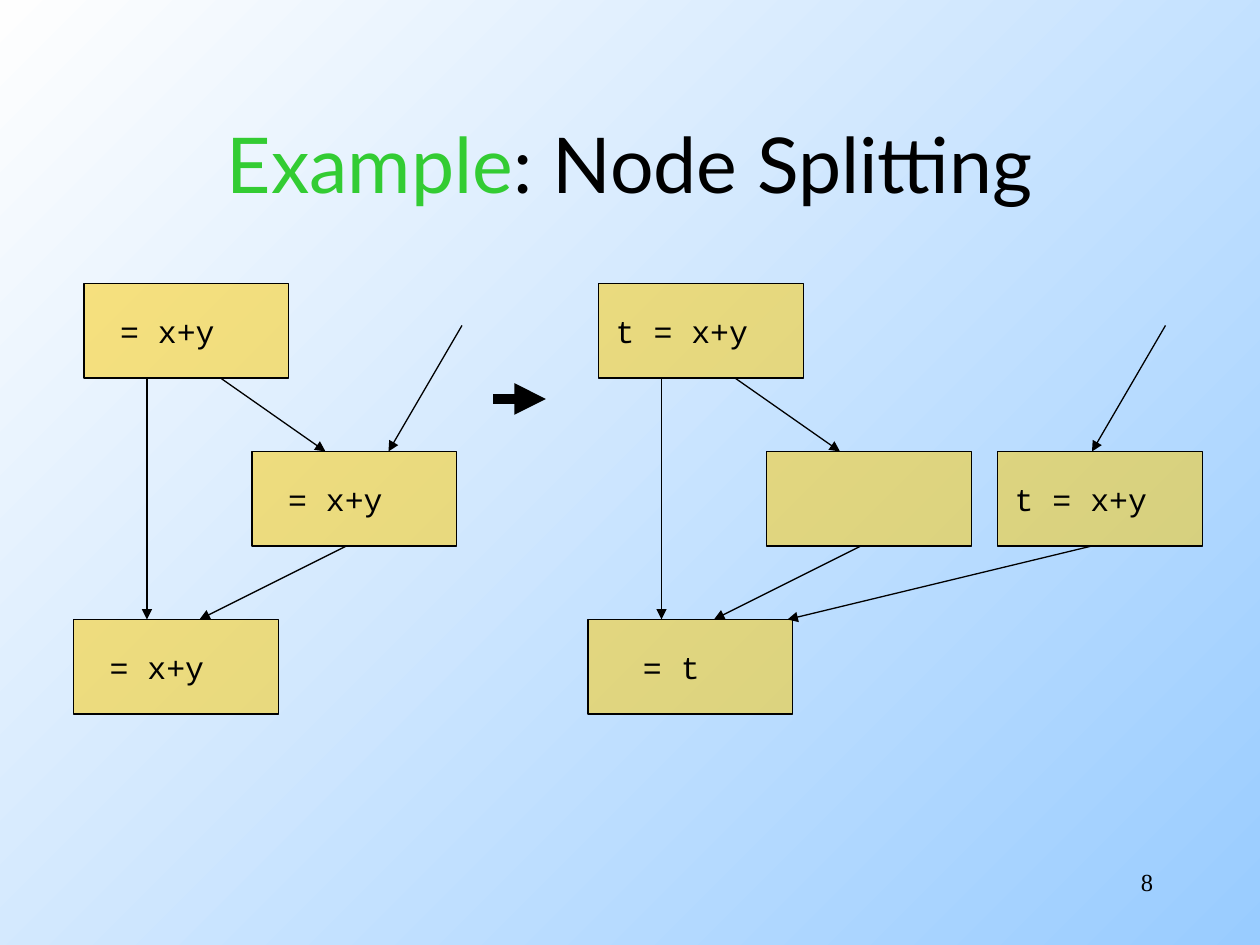
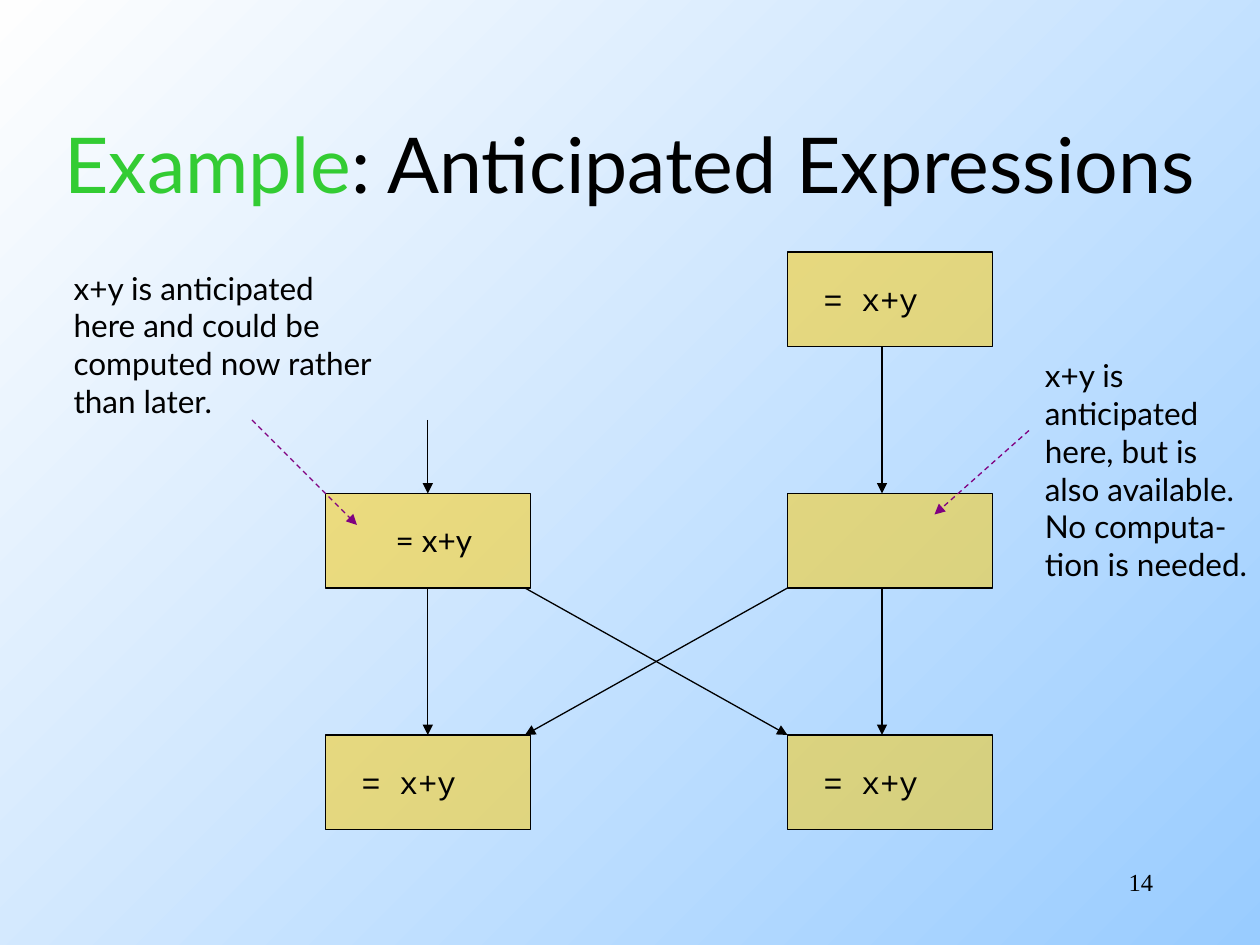
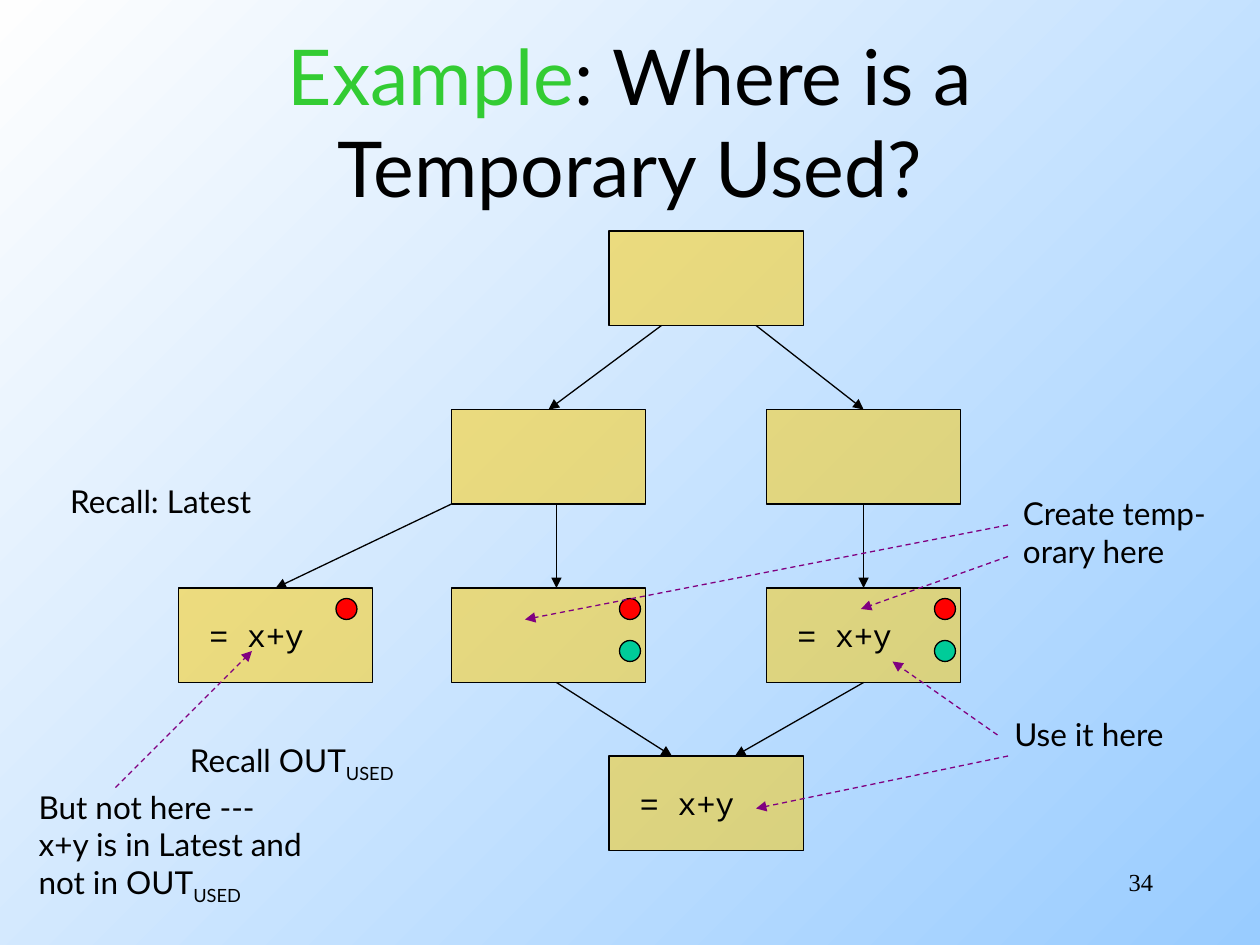
import collections
import dataclasses

import lxml.etree
import pptx
import pptx.dml.color
import pptx.enum.dml
import pptx.enum.shapes
import pptx.enum.text
import pptx.oxml.ns
import pptx.util

Pt = pptx.util.Pt
qn = pptx.oxml.ns.qn
Align = pptx.enum.text.PP_ALIGN
Shape = pptx.enum.shapes.MSO_SHAPE
Joint = collections.namedtuple("Joint", "box side")

TOP, BOTTOM = 0, 2
EXPRESSION = "= x+y"
SUBSCRIPT = ("USED", {"baseline": -25})


@dataclasses.dataclass(frozen=True)
class Theme:
    ink: str = "000000"
    accent: str = "33CC33"
    block: str = "FFCC00"
    block_opacity: int = 50
    pointer: str = "800080"
    latest: str = "FF0000"
    used: str = "00CC99"
    background: tuple = ("99CCFF", "FEFEFE")
    body_font: str = "Lato"
    code_font: str = "Courier New"
    number_font: str = "Times New Roman"
    title_size: float = 44
    body_size: float = 18
    number_size: float = 14
    line_width: float = 0.75


def rgb(value):
    return pptx.dml.color.RGBColor.from_string(value)


def write(frame, paragraphs, *, font, size, color, align=Align.LEFT):
    for index, spans in enumerate(paragraphs):
        para = frame.paragraphs[0] if index == 0 else frame.add_paragraph()
        para.alignment = align
        for text, changes in [(spans, {})] if isinstance(spans, str) else spans:
            span = para.add_run()
            span.text = text
            span.font.name = font
            span.font.size = Pt(size)
            span.font.color.rgb = rgb(changes.get("color", color))
            if "baseline" in changes:
                span.font._element.set("baseline", str(changes["baseline"] * 1000))


class SlideWriter:
    def __init__(self, deck, theme):
        self.deck = deck
        self.theme = theme
        self.page = None

    def start(self, title, number, left, top, width):
        self.page = self.deck.slides.add_slide(self.deck.slide_layouts[6])
        fill = self.page.background.fill
        fill.gradient()
        fill.gradient_angle = 135
        for stop, color in zip(fill.gradient_stops, self.theme.background):
            stop.color.rgb = rgb(color)
        heading = self.text_frame(left, top, width, 90)
        heading.vertical_anchor = pptx.enum.text.MSO_ANCHOR.MIDDLE
        write(heading, [[("Example", {"color": self.theme.accent}), (": " + title, {})]],
              font=self.theme.body_font, size=self.theme.title_size,
              color=self.theme.ink, align=Align.CENTER)
        write(self.text_frame(516, 492, 150, 36), [str(number)],
              font=self.theme.number_font, size=self.theme.number_size,
              color=self.theme.ink, align=Align.RIGHT)

    def text_frame(self, left, top, width, height):
        frame = self.page.shapes.add_textbox(Pt(left), Pt(top), Pt(width), Pt(height)).text_frame
        frame.word_wrap = True
        return frame

    def note(self, left, top, width, height, *paragraphs):
        frame = self.text_frame(left, top, width, height)
        frame.word_wrap = False
        frame.auto_size = pptx.enum.text.MSO_AUTO_SIZE.SHAPE_TO_FIT_TEXT
        write(frame, paragraphs, font=self.theme.body_font,
              size=self.theme.body_size, color=self.theme.ink)

    def outlined(self, kind, left, top, width, height, color):
        shape = self.page.shapes.add_shape(kind, Pt(left), Pt(top), Pt(width), Pt(height))
        shape.shadow.inherit = False
        shape.fill.solid()
        shape.fill.fore_color.rgb = rgb(color)
        shape.line.color.rgb = rgb(self.theme.ink)
        shape.line.width = Pt(self.theme.line_width)
        return shape

    def block(self, left, top, label="", width=117):
        box = self.outlined(Shape.RECTANGLE, left, top, width, 54, self.theme.block)
        color = box._element.spPr.find(".//" + qn("a:srgbClr"))
        lxml.etree.SubElement(color, qn("a:alpha"), val=str(self.theme.block_opacity * 1000))
        if label:
            frame = box.text_frame
            frame.word_wrap = False
            frame.margin_right = Pt(28.8)
            frame.vertical_anchor = pptx.enum.text.MSO_ANCHOR.MIDDLE
            write(frame, [label], font=self.theme.code_font, size=self.theme.body_size,
                  color=self.theme.ink, align=Align.CENTER)
        return box

    def dot(self, left, top, color):
        self.outlined(Shape.OVAL, left, top, 12, 12, color)

    def arrow(self, start, end, color=None, width=None, dashed=False):
        points = [(0, 0) if isinstance(place, Joint) else place for place in (start, end)]
        line = self.page.shapes.add_connector(
            pptx.enum.shapes.MSO_CONNECTOR.STRAIGHT,
            *[Pt(value) for point in points for value in point])
        if isinstance(start, Joint):
            line.begin_connect(start.box, start.side)
        if isinstance(end, Joint):
            line.end_connect(end.box, end.side)
        line.line.color.rgb = rgb(color or self.theme.ink)
        line.line.width = Pt(width or self.theme.line_width)
        if dashed:
            line.line.dash_style = pptx.enum.dml.MSO_LINE.DASH
        properties = line._element.spPr
        lxml.etree.SubElement(properties.find(qn("a:ln")), qn("a:tailEnd"), type="triangle")
        lxml.etree.SubElement(properties, qn("a:effectLst"))

    def pointer(self, start, end):
        self.arrow(start, end, color=self.theme.pointer, dashed=True)


def node_splitting(writer):
    writer.start("Node Splitting", 8, 54, 48, 612)
    graphs = [
        (0, 0, (EXPRESSION, EXPRESSION, EXPRESSION)),
        (294, 402, ("t = x+y", "", "= t")),
    ]
    for shift, entry_shift, labels in graphs:
        for left, top, label in zip((48, 144, 42), (162, 258, 354), labels):
            writer.block(left + shift, top, label)
        writer.arrow((84 + shift, 216), (84 + shift, 354))
        writer.arrow((126 + shift, 216), (186 + shift, 258))
        writer.arrow((198 + shift, 312), (114 + shift, 354))
        writer.arrow((264 + entry_shift, 186), (222 + entry_shift, 258))
    writer.block(570, 258, "t = x+y")
    writer.arrow((624, 312), (450, 354))
    writer.arrow((282, 228), (312, 228), width=6)


def anticipated_expressions(writer):
    writer.start("Anticipated Expressions", 14, 0, 48, 720)
    left_column, right_column = 186, 450
    middle_left = writer.block(left_column, 282)
    bottom_left = writer.block(left_column, 420, EXPRESSION)
    for top, label in ((144, EXPRESSION), (282, ""), (420, EXPRESSION)):
        writer.block(right_column, top, label)
    writer.arrow((244.5, 240), Joint(middle_left, TOP))
    writer.arrow(Joint(middle_left, BOTTOM), Joint(bottom_left, TOP))
    writer.arrow((504, 198), (504, 282))
    writer.arrow((504, 336), (504, 420))
    writer.arrow((300, 336), (450, 420))
    writer.arrow((450, 336), (300, 420))

    writer.note(35, 150, 199, 94, "x+y is anticipated", "here and could be",
                "computed now rather", "than later.")
    writer.note(219, 294, 58, 29, EXPRESSION)
    writer.pointer((144, 240), (204, 300))
    writer.note(590, 200, 138, 137, "x+y is", "anticipated", "here, but is",
                "also available.", "No computa-", "tion is needed.")
    writer.pointer((588, 246), (534, 294))


def temporary_used(writer):
    writer.start("Where is a Temporary Used?", 34, 72, 24, 576)
    places = {
        "root": (348, 132, ""),
        "upper left": (258, 234, ""),
        "upper right": (438, 234, ""),
        "outer": (102, 336, EXPRESSION),
        "lower left": (258, 336, ""),
        "lower right": (438, 336, EXPRESSION),
        "exit": (348, 432, EXPRESSION),
    }
    boxes = {name: writer.block(*place, width=111) for name, place in places.items()}
    writer.arrow((378, 186), Joint(boxes["upper left"], TOP))
    writer.arrow((432, 186), Joint(boxes["upper right"], TOP))
    writer.arrow((258, 288), Joint(boxes["outer"], TOP))
    writer.arrow((318, 288), (318, 336))
    writer.arrow(Joint(boxes["upper right"], BOTTOM), Joint(boxes["lower right"], TOP))
    writer.arrow((318, 390), (384, 432))
    writer.arrow(Joint(boxes["lower right"], BOTTOM), (420, 432))

    for left in (192, 354, 534):
        writer.dot(left, 342, writer.theme.latest)
    for left in (354, 534):
        writer.dot(left, 366, writer.theme.used)

    writer.note(33, 272, 125, 29, "Recall: Latest")
    writer.note(101.5, 420, 132.5, 32, [("Recall OUT", {}), SUBSCRIPT])
    writer.note(577.5, 279, 125, 50, "Create temp-", "orary here")
    writer.note(572.5, 405, 106, 29, "Use it here")
    writer.note(15, 446.5, 174, 75, "But not here ---", "x+y is in Latest and",
                [("not in OUT", {}), SUBSCRIPT])
    for start, end in (
        ((576, 300), (300, 354)),
        ((576, 318), (492, 348)),
        ((570, 420), (510, 378)),
        ((576, 432), (432, 462)),
        ((66, 450), (144, 372)),
    ):
        writer.pointer(start, end)


def main():
    deck = pptx.Presentation()
    deck.slide_width, deck.slide_height = Pt(720), Pt(540)
    writer = SlideWriter(deck, Theme())
    node_splitting(writer)
    anticipated_expressions(writer)
    temporary_used(writer)
    deck.save("out.pptx")


if __name__ == "__main__":
    main()
